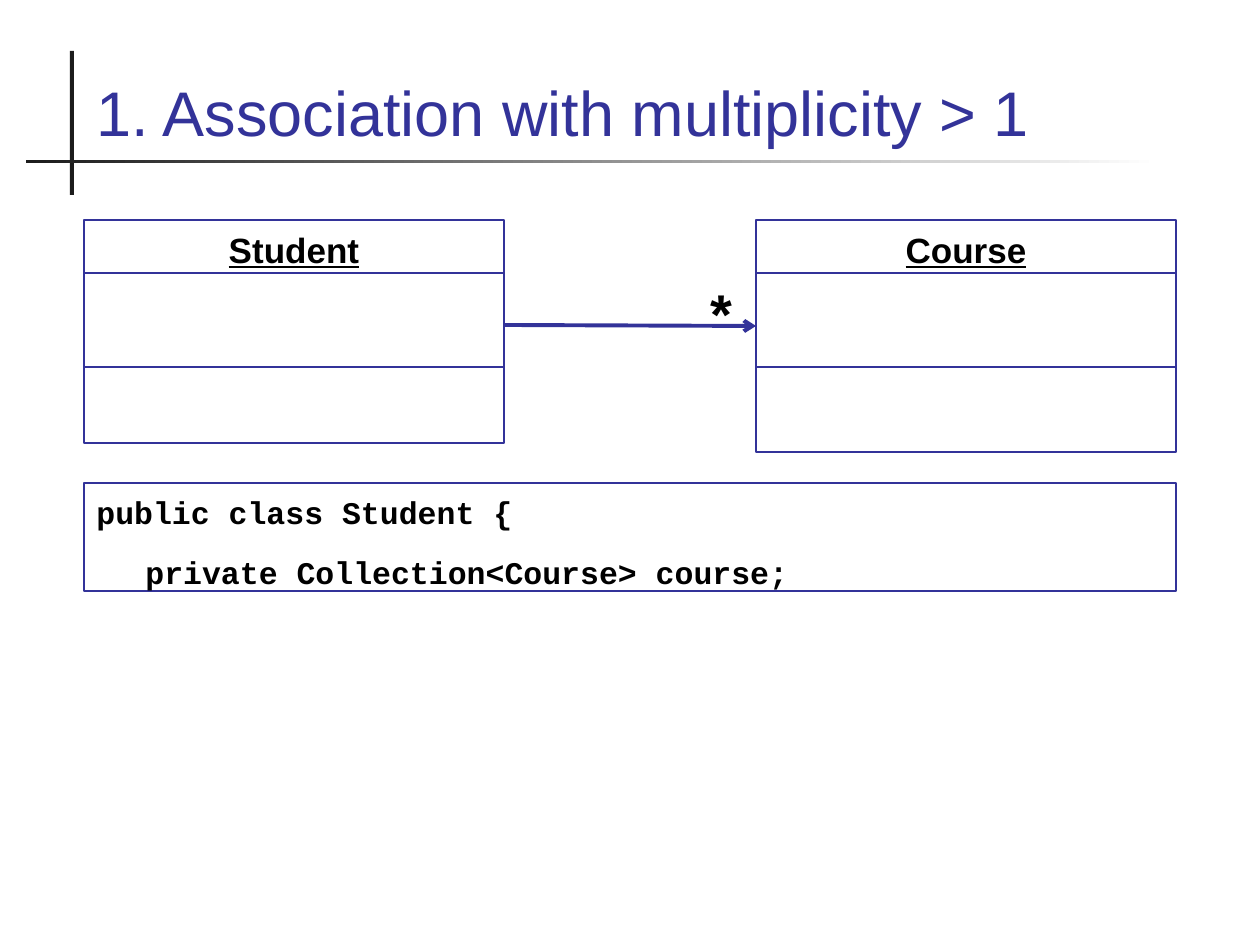
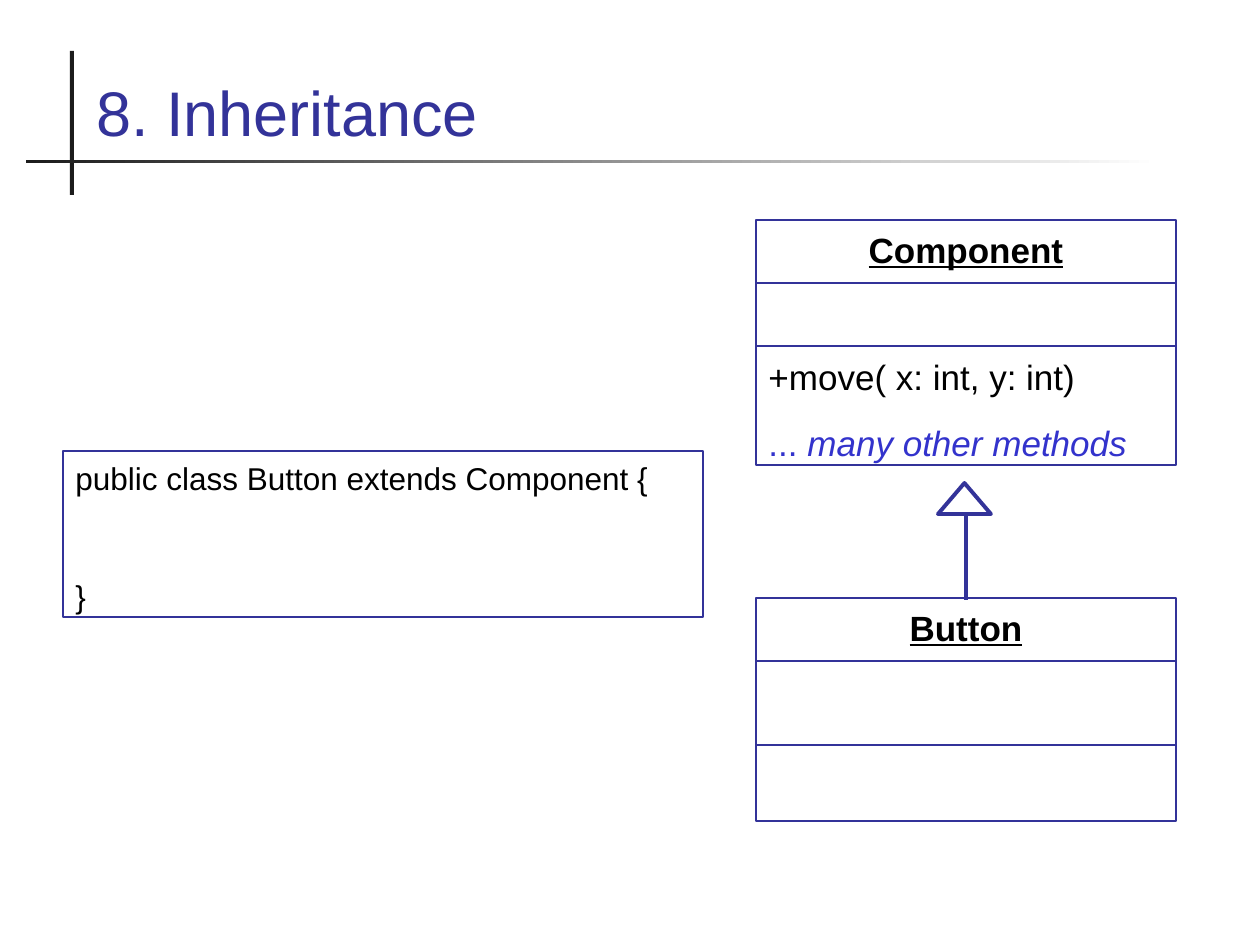
import pptx
import pptx.util
import pptx.dml.color
import pptx.enum.shapes
import pptx.enum.text
import pptx.oxml
import pptx.oxml.ns

PX = 914400 / 126
Pt = pptx.util.Pt
SHAPE = pptx.enum.shapes.MSO_SHAPE
ALIGN = pptx.enum.text.PP_ALIGN
ANCHOR = pptx.enum.text.MSO_ANCHOR
HUES = {"ink": "000000", "navy": "333399", "blue": "3333CC", "dark": "1C1C1C", "white": "FFFFFF"}
RGB = {name: pptx.dml.color.RGBColor.from_string(code) for name, code in HUES.items()}

FONTS = {
    "title": {"name": "Arial", "size": Pt(36), "hue": "navy"},
    "class": {"name": "Arial", "size": Pt(20), "bold": True, "underline": True, "hue": "ink"},
    "method": {"name": "Arial", "size": Pt(20), "hue": "ink"},
    "dots": {"name": "Arial", "size": Pt(20), "hue": "blue"},
    "more": {"name": "Arial", "size": Pt(20), "italic": True, "hue": "blue"},
    "mono": {"name": "Courier New", "size": Pt(18), "bold": True, "hue": "ink"},
    "code": {"name": "Arial", "size": Pt(18), "hue": "ink"},
    "star": {"name": "Arial", "size": Pt(32), "bold": True, "hue": "ink"},
}


def box(slide, at, paras=(), kind=None, fill=None, line="navy", width=0.75, top=6, anchor=ANCHOR.TOP):
    place = [round(n * PX) for n in at]
    if kind is None:
        shape = slide.shapes.add_textbox(*place)
    else:
        shape = slide.shapes.add_shape(kind, *place)
        shape.shadow.inherit = False
        if fill:
            shape.fill.solid()
            shape.fill.fore_color.rgb = RGB[fill]
        else:
            shape.fill.background()
        if line:
            shape.line.color.rgb = RGB[line]
            shape.line.width = Pt(width)
        else:
            shape.line.fill.background()
    frame = shape.text_frame
    form = {"word_wrap": True, "vertical_anchor": anchor, "margin_top": round(top * PX)}
    for key, value in form.items():
        setattr(frame, key, value)
    for i, (runs, look) in enumerate(paras):
        para = frame.add_paragraph() if i else frame.paragraphs[0]
        look = {"alignment": ALIGN.LEFT, **look}
        indent = look.pop("indent", 0)
        if indent:
            para._p.get_or_add_pPr().set("marL", str(round(indent * PX)))
        for key, value in look.items():
            setattr(para, key, value)
        for text, style in runs:
            run = para.add_run()
            run.text = text
            for key, value in FONTS[style].items():
                if key == "hue":
                    run.font.color.rgb = RGB[value]
                else:
                    setattr(run.font, key, value)
    return shape


def link(slide, ends, width=0.75, arrow=False):
    line = slide.shapes.add_connector(
        pptx.enum.shapes.MSO_CONNECTOR.STRAIGHT, *[round(n * PX) for n in ends])
    line.line.color.rgb = RGB["navy"]
    line.line.width = Pt(width)
    if arrow:
        tail = pptx.oxml.parse_xml('<a:tailEnd %s type="arrow"/>' % pptx.oxml.ns.nsdecls("a"))
        line.line._get_or_add_ln().append(tail)
    line._element.spPr.append(
        pptx.oxml.parse_xml("<a:effectLst %s/>" % pptx.oxml.ns.nsdecls("a")))


deck = pptx.Presentation()
deck.slide_width = round(1260 * PX)
deck.slide_height = round(945 * PX)

pages = []
for title in ("1. Association with multiplicity > 1", "8. Inheritance"):
    page = deck.slides.add_slide(deck.slide_layouts[6])
    page.background.fill.solid()
    page.background.fill.fore_color.rgb = RGB["white"]
    box(page, (70, 51, 4, 144), kind=SHAPE.RECTANGLE, fill="dark", line=None)
    rule = box(page, (26, 160, 1133, 3), kind=SHAPE.RECTANGLE, line=None)
    rule.fill.gradient()
    rule.fill.gradient_angle = 180
    for stop, hue, spot in zip(rule.fill.gradient_stops, ("white", "dark"), (0, 1)):
        stop.color.rgb = RGB[hue]
        stop.position = spot
    box(page, (84, 35, 1092, 120), [([(title, "title")], {})], anchor=ANCHOR.BOTTOM)
    pages.append(page)
first, second = pages

methods = [
    ([("+move( x: int, y: int)", "method")], {"space_before": Pt(49)}),
    ([("... ", "dots"), ("many other methods", "more")], {"space_before": Pt(13.6)}),
]
cards = [
    (first, "Student", 84, 220, 223, (273, 367), []),
    (first, "Course", 756, 220, 232, (273, 367), []),
    (second, "Component", 756, 220, 245, (283, 346), methods),
    (second, "Button", 756, 598, 223, (661, 745), []),
]
for page, name, left, top, high, rows, extra in cards:
    head = ([(name, "class")], {"alignment": ALIGN.CENTER})
    box(page, (left, top, 420, high), [head, *extra], SHAPE.RECTANGLE, top=8)
    for row in rows:
        link(page, (left, row, left + 420, row))

link(first, (504, 325, 756, 326), 2.25, True)
box(first, (84, 483, 1092, 108), [
    ([("public class Student {", "mono")], {}),
    ([("private Collection<Course> course;", "mono")], {"space_before": Pt(12.7), "indent": 49}),
], SHAPE.RECTANGLE, "white", top=10)
box(first, (661, 273, 84, 81), [([("*", "star")], {"alignment": ALIGN.RIGHT})])

link(second, (966, 600, 966, 514), 2.25)
box(second, (938, 483, 53, 31), kind=SHAPE.ISOSCELES_TRIANGLE, width=2.25)
box(second, (63, 451, 640, 166), [
    ([("public class Button extends Component {", "code")], {}),
    ([("}", "code")], {"space_before": Pt(45.6)}),
], SHAPE.RECTANGLE, top=8)

deck.save("out.pptx")
